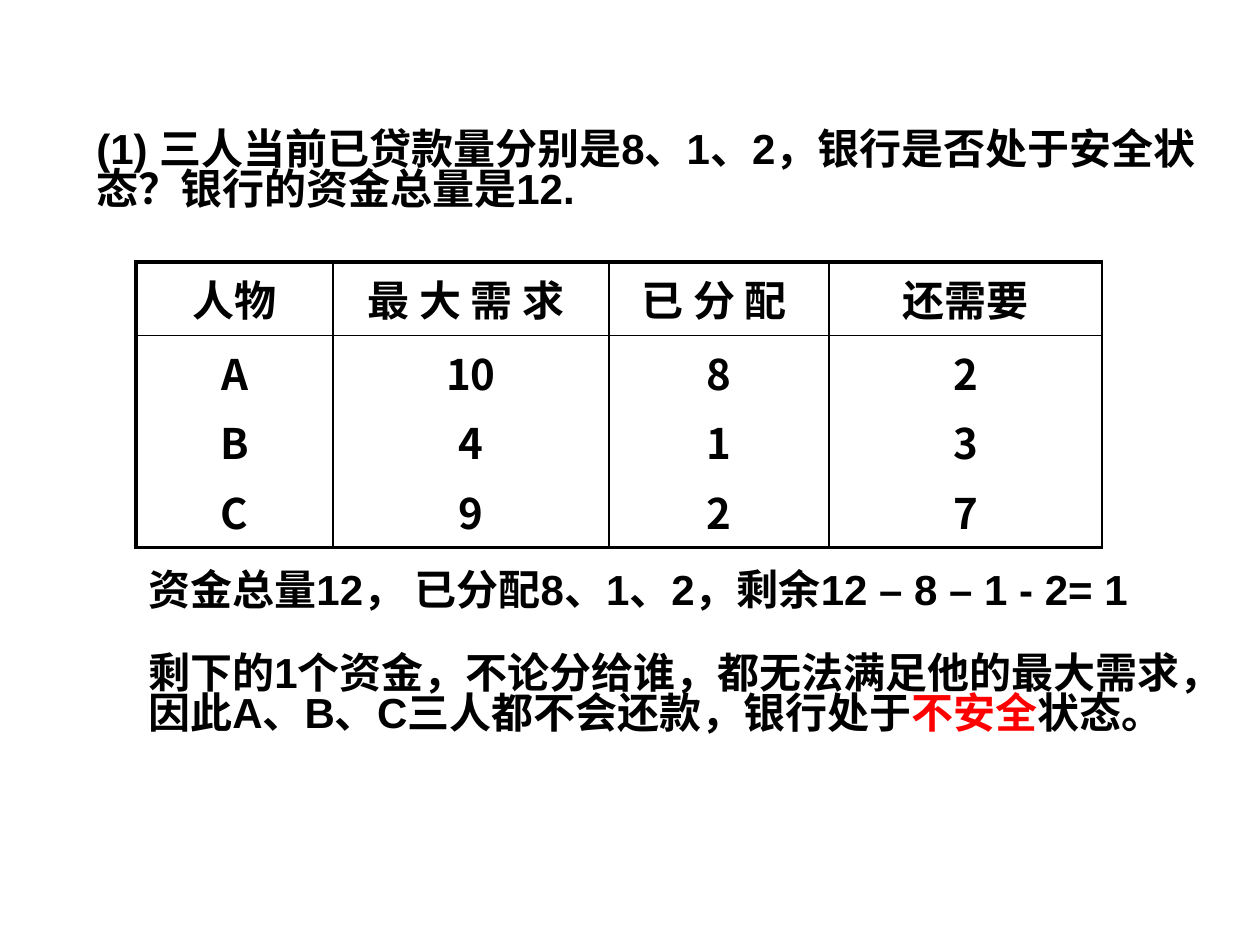
from dataclasses import dataclass

from lxml.etree import SubElement
from pptx import Presentation
from pptx.dml.color import RGBColor
from pptx.enum.text import MSO_AUTO_SIZE, PP_ALIGN
from pptx.oxml.ns import qn
from pptx.util import Emu, Pt

PX = 914400 // 126


def px(length):
    return Emu(length * PX)


@dataclass(frozen=True)
class Theme:
    ink: str = "000000"
    alert: str = "FF0000"
    latin: str = "Arial"
    cjk: str = "Noto Sans CJK SC"
    size: int = 24
    gap: float = 4.8
    thin: float = 1
    thick: float = 2.25


def write(paragraph, text, *, size, color, latin, cjk, bold=True):
    """Add one formatted run to a paragraph."""
    run = paragraph.add_run()
    run.text = text
    font = run.font
    font.size, font.bold, font.name = Pt(size), bold, latin
    font.color.rgb = RGBColor.from_string(color)
    SubElement(font._element, qn("a:ea"), typeface=cjk)


class SlideBuilder:
    def __init__(self, slide, theme):
        self.slide = slide
        self.theme = theme

    def text(self, left, top, width, height, runs):
        """Add a wrapped paragraph made of (text, colour) runs."""
        theme = self.theme
        box = self.slide.shapes.add_textbox(*map(px, (left, top, width, height)))
        frame = box.text_frame
        frame.word_wrap = True
        frame.auto_size = MSO_AUTO_SIZE.SHAPE_TO_FIT_TEXT
        paragraph = frame.paragraphs[0]
        paragraph.line_spacing = 0.8
        for words, color in runs:
            write(paragraph, words, size=theme.size, color=color,
                  latin=theme.latin, cjk=theme.cjk)

    def table(self, left, top, widths, heights, rows):
        """Add a ruled table with a thick left, top and bottom edge."""
        theme = self.theme
        table = self.slide.shapes.add_table(
            len(rows), len(widths), px(left), px(top),
            px(sum(widths)), px(sum(heights))).table
        table.first_row = table.horz_banding = False
        for column, width in zip(table.columns, widths):
            column.width = px(width)
        for r, (row, height) in enumerate(zip(rows, heights)):
            table.rows[r].height = px(height)
            for c, lines in enumerate(row):
                cell = table.cell(r, c)
                self.cell_text(cell, lines)
                thick_edges = {"L": c == 0, "R": False, "T": r == 0,
                               "B": r == len(rows) - 1}
                for side, is_thick in thick_edges.items():
                    self.border(cell, side, theme.thick if is_thick else theme.thin)
                cell.fill.background()

    def cell_text(self, cell, lines):
        theme = self.theme
        frame = cell.text_frame
        for i, line in enumerate(lines):
            paragraph = frame.add_paragraph() if i else frame.paragraphs[0]
            paragraph.alignment = PP_ALIGN.CENTER
            if i:
                paragraph.space_before = Pt(theme.gap)
            write(paragraph, line, size=theme.size, color=theme.ink,
                  latin=theme.cjk, cjk=theme.cjk)

    def border(self, cell, side, width):
        properties = cell._tc.get_or_add_tcPr()
        line = SubElement(properties, qn(f"a:ln{side}"), w=str(Pt(width)))
        fill = SubElement(line, qn("a:solidFill"))
        SubElement(fill, qn("a:srgbClr"), val=self.theme.ink)


def main():
    deck = Presentation()
    deck.slide_width, deck.slide_height = px(1260), px(945)
    theme = Theme()
    page = SlideBuilder(deck.slides.add_slide(deck.slide_layouts[6]), theme)

    # Allocation table: a header row, then one row holding all three people
    loans = {
        "人物": "ABC",
        "最 大 需 求 ": ("10", "4", "9"),
        "已 分 配 ": "812",
        "还需要": "237",
    }
    header = [[title] for title in loans]
    page.table(136, 262, (197, 276, 220, 273), (63, 184),
               [header, list(loans.values())])

    # Question
    page.text(84, 126, 1124, 95, [
        ("(1) 三人当前已贷款量分别是8、1、2，银行是否处于安全状态？银行的资金总量是12.",
         theme.ink)])

    # Remaining funds
    page.text(136, 567, 1019, 53, [
        ("资金总量12， 已分配8、1、2，剩余12 – 8 – 1 - 2= 1", theme.ink)])

    # Conclusion
    page.text(136, 650, 1071, 95, [
        ("剩下的1个资金，不论分给谁，都无法满足他的最大需求，因此A、B、C三人都不会还款，银行处于",
         theme.ink),
        ("不安全", theme.alert),
        ("状态。", theme.ink)])

    deck.save("out.pptx")


if __name__ == "__main__":
    main()
